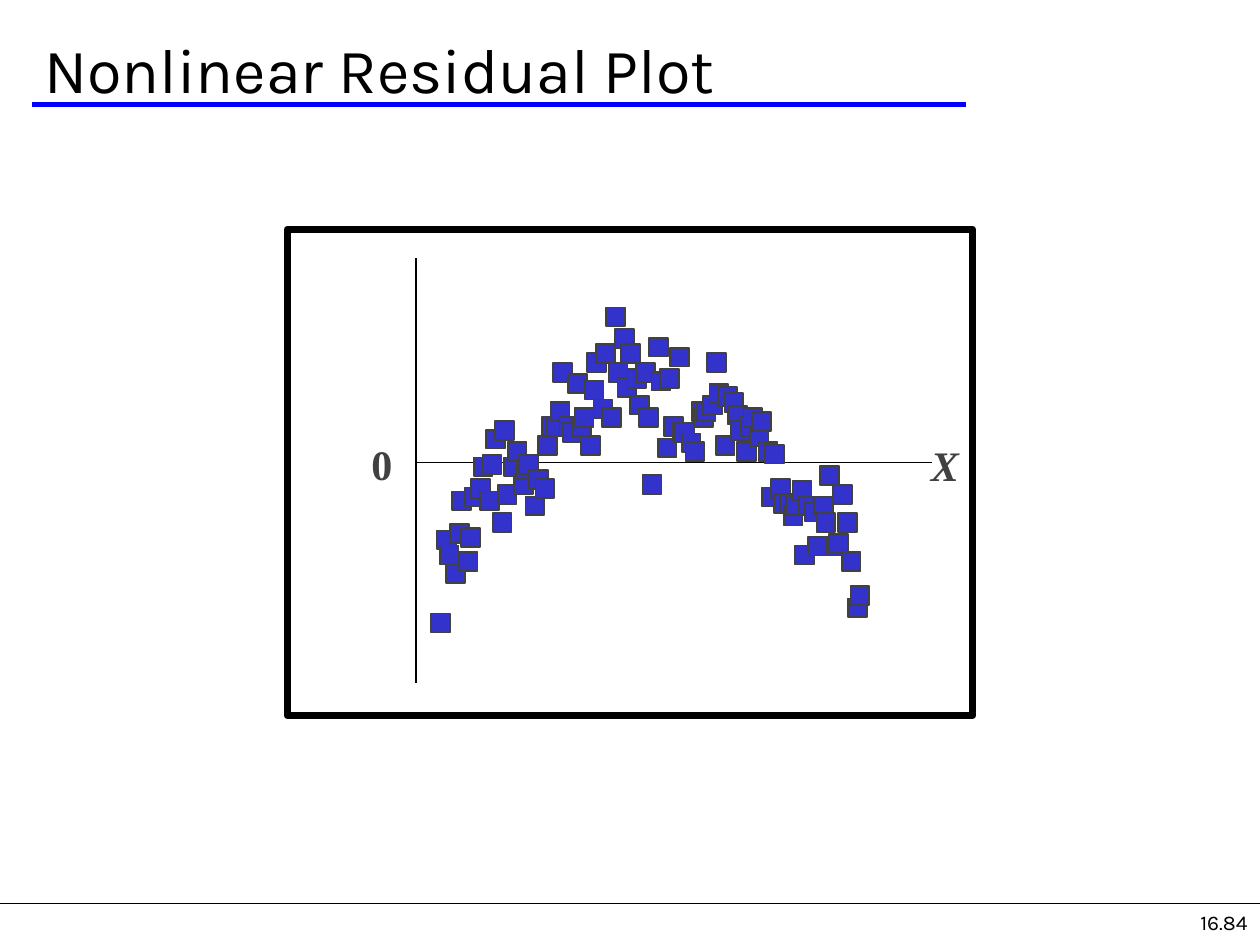
from lxml.etree import SubElement
from pptx import Presentation
from pptx.dml.color import RGBColor
from pptx.enum.shapes import MSO_CONNECTOR as Connector, MSO_SHAPE as Shape
from pptx.enum.text import MSO_ANCHOR as Anchor, MSO_AUTO_SIZE as AutoSize, PP_ALIGN as Align
from pptx.oxml.ns import qn
from pptx.util import Inches, Pt

BLACK = RGBColor(0x00, 0x00, 0x00)
RULE_BLUE = RGBColor(0x00, 0x00, 0xFF)
MARKER_BLUE = RGBColor(0x33, 0x33, 0xCC)
GRAY = RGBColor(0x41, 0x41, 0x41)

TITLE_FONT = {"name": "Karla", "size": Pt(36), "bold": False}
NUMBER_FONT = {"name": "Karla", "size": Pt(12)}
ZERO_FONT = {"name": "Times New Roman", "size": Pt(24), "bold": True}
X_FONT = {**ZERO_FONT, "italic": True}

MARKER_SIZE = 0.15
RESIDUALS = [
    (42, 287), (47, 221), (49, 233), (54, 248), (57, 216), (59, 190), (64, 238),
    (66, 219), (69, 187), (74, 180), (76, 163), (81, 190), (83, 161), (86, 141),
    (91, 207), (93, 134), (95, 185), (100, 163), (103, 151), (108, 177), (110, 165),
    (112, 161), (117, 194), (120, 173), (125, 180), (127, 146), (130, 131), (134, 131),
    (137, 119), (139, 88), (144, 131), (147, 136), (151, 97), (154, 131), (156, 124),
    (161, 146), (164, 102), (166, 80), (171, 117), (173, 73), (178, 124), (181, 44),
    (183, 88), (188, 61), (190, 100), (193, 73), (198, 93), (200, 114), (205, 88),
    (207, 124), (210, 177), (215, 68), (217, 95), (222, 148), (224, 93), (227, 131),
    (232, 76), (234, 136), (236, 136), (241, 144), (244, 151), (249, 119), (251, 124),
    (253, 119), (258, 114), (261, 80), (263, 105), (268, 146), (270, 107), (275, 112),
    (278, 122), (280, 134), (285, 151), (288, 131), (290, 124), (295, 139), (297, 127),
    (302, 151), (305, 187), (307, 153), (312, 180), (314, 192), (319, 192), (322, 202),
    (324, 194), (329, 182), (331, 233), (334, 194), (339, 199), (341, 226), (346, 194),
    (348, 207), (351, 170), (356, 226), (358, 224), (361, 185), (365, 207), (368, 238),
    (373, 275), (375, 265),
]


def write(frame, text, font, color=BLACK, align=Align.LEFT):
    """Put one formatted line of text in a text frame."""
    para = frame.paragraphs[0]
    para.alignment = align
    span = para.add_run()
    span.text = text
    span.font.color.rgb = color
    for name, value in font.items():
        setattr(span.font, name, value)


def add_line(shapes, start, end, color, width):
    """Draw a straight line without a shadow between two points in inches."""
    line = shapes.add_connector(Connector.STRAIGHT, *map(Inches, start + end))
    line.line.color.rgb = color
    line.line.width = Pt(width)
    SubElement(line._element.spPr, qn("a:effectLst"))


def add_square(shapes, box, color, width):
    """Add an unfilled, outlined rectangle and return it."""
    square = shapes.add_shape(Shape.RECTANGLE, *map(Inches, box))
    square.shadow.inherit = False
    square.fill.background()
    square.line.color.rgb = color
    square.line.width = Pt(width)
    return square


def add_label(shapes, box, text, font):
    """Add an axis label that grows with its text."""
    frame = shapes.add_textbox(*map(Inches, box)).text_frame
    frame.word_wrap = False
    frame.auto_size = AutoSize.SHAPE_TO_FIT_TEXT
    write(frame, text, font, GRAY)


def place_title(page, left, top, width, height):
    """Fill the title placeholder and underline it."""
    title = page.shapes.title
    place = {"left": left, "top": top, "width": width, "height": height}
    for name, value in place.items():
        setattr(title, name, Inches(value))
    frame = title.text_frame
    frame.vertical_anchor = Anchor.BOTTOM
    frame.auto_size = AutoSize.NONE
    frame.margin_bottom = 0
    write(frame, "Nonlinear Residual Plot", TITLE_FONT)
    bottom = top + height - 0.01
    add_line(page.shapes, (left, bottom), (left + 7.42, bottom), RULE_BLUE, 2.5)


def place_footer(page, left, top, width, height):
    """Draw the footer rule and the right-aligned page number."""
    add_line(page.shapes, (left, top), (left + width, top), BLACK, 0.75)
    box = (left + width - 2.08, top, 2.08, height)
    frame = page.shapes.add_textbox(*map(Inches, box)).text_frame
    frame.word_wrap = True
    write(frame, "16.84", NUMBER_FONT, align=Align.RIGHT)


def place_markers(shapes, left, top):
    """Draw every residual as a square offset from the given corner."""
    for across, down in RESIDUALS:
        box = (left + across / 100, top + down / 100, MARKER_SIZE, MARKER_SIZE)
        marker = add_square(shapes, box, GRAY, 1)
        marker.fill.solid()
        marker.fill.fore_color.rgb = MARKER_BLUE


def place_plot(page, left, top, width, height):
    """Draw the framed residual plot as one group."""
    shapes = page.shapes.add_group_shape().shapes
    add_square(shapes, (left, top, width, height), BLACK, 4)
    axis_x, axis_y = left + 1.02, top + 1.85
    add_line(shapes, (axis_x, top + 3.6), (axis_x, top + 0.23), BLACK, 1)
    add_line(shapes, (axis_x, axis_y), (axis_x + 4.1, axis_y), BLACK, 1)
    place_markers(shapes, left + 0.72, top + 0.18)
    add_label(shapes, (left + 0.57, top + 1.61, 0.36, 0.5), "0", ZERO_FONT)
    add_label(shapes, (left + 5.01, top + 1.62, 0.42, 0.5), "X", X_FONT)


def main():
    """Build and save the deck."""
    deck = Presentation()
    deck.slide_width, deck.slide_height = Inches(10), Inches(7.5)
    page = deck.slides.add_slide(deck.slide_layouts[5])
    place_footer(page, 0, 7.17, 10, 0.33)
    place_plot(page, 2.28, 1.82, 5.44, 3.86)
    place_title(page, 0.25, 0.17, 9.58, 0.67)
    deck.save("out.pptx")


if __name__ == "__main__":
    main()
